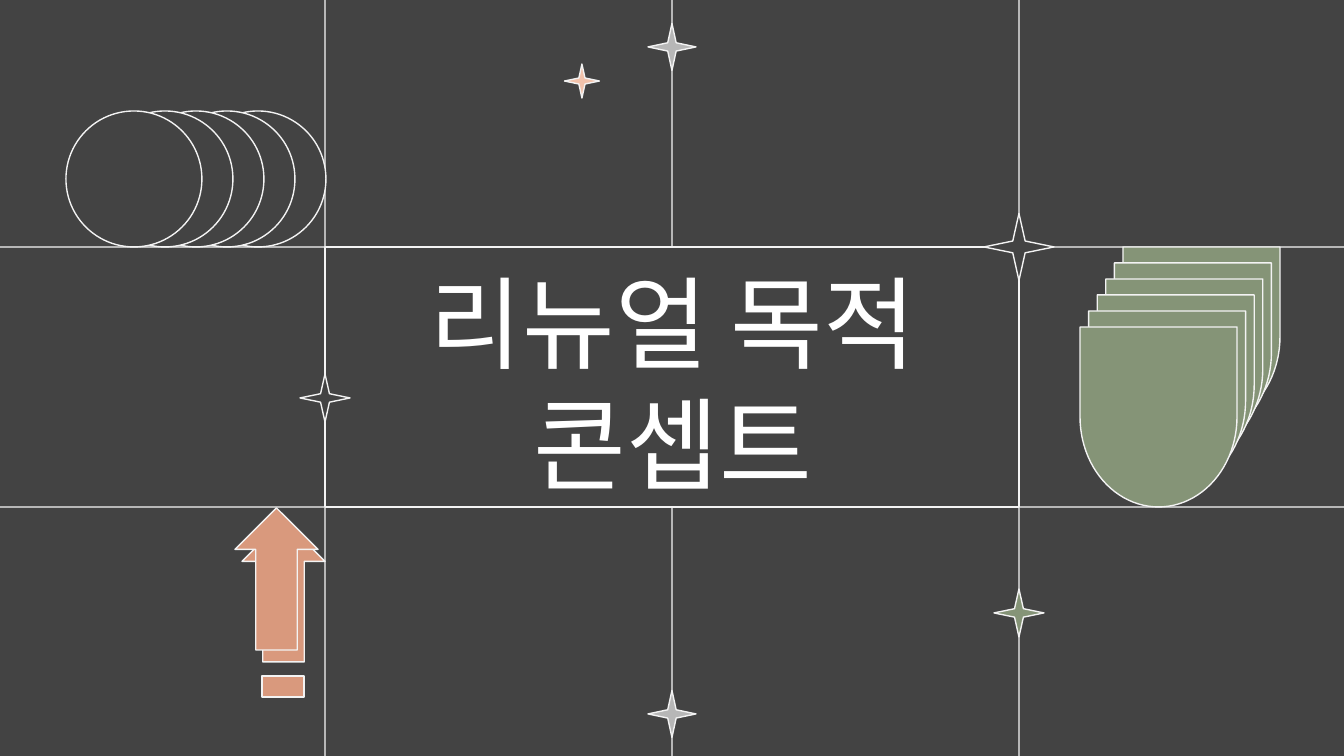
from lxml.etree import SubElement
from pptx import Presentation
from pptx.dml.color import RGBColor
from pptx.enum.shapes import MSO_CONNECTOR as Line, MSO_SHAPE as Kind
from pptx.enum.text import MSO_ANCHOR as Anchor, MSO_AUTO_SIZE as Fit, PP_ALIGN as Align
from pptx.oxml.ns import qn
from pptx.util import Inches, Pt

WIDE, HIGH = 1344, 756
SCALE = Inches(10) / WIDE
FONT = "Noto Sans CJK KR"
DARK = RGBColor(0x43, 0x43, 0x43)
GRAY = RGBColor(0xB7, 0xB7, 0xB7)
PALE = RGBColor(0xF3, 0xF3, 0xF3)
WHITE = RGBColor(0xFF, 0xFF, 0xFF)
GREEN = RGBColor(0x85, 0x94, 0x77)
CLAY = RGBColor(0xD9, 0x99, 0x7D)
PEACH = RGBColor(0xF2, 0xC2, 0xAB)


def px(*nums):
    """Turn px into EMU."""
    return [round(n * SCALE) for n in nums]


def put(slide, kind, box, fill):
    """Add a filled shape with a pale outline."""
    shape = slide.shapes.add_shape(kind, *px(*box))
    shape.shadow.inherit = False
    shape.fill.solid()
    shape.fill.fore_color.rgb = fill
    shape.line.color.rgb = PALE
    shape.line.width = Pt(0.75)
    return shape


def rule(slide, start, end):
    """Add one grid line."""
    line = slide.shapes.add_connector(Line.STRAIGHT, *px(*start, *end))
    line.line.color.rgb = GRAY
    line.line.width = Pt(0.75)
    SubElement(line.element.spPr, qn("a:effectLst"))


def grid(slide, box):
    """Draw the grid around the middle cell, past the slide edges."""
    left, top, width, height = box
    for x in (left, left + width / 2, left + width):
        rule(slide, (x, -13), (x, HIGH + 15))
    for y in (top, top + height):
        rule(slide, (-23, y), (WIDE + 21, y))


def star(slide, mid, size, fill):
    """Add a thin four-point star centred on a point."""
    (x, y), (w, h) = mid, size
    shape = put(slide, Kind.STAR_4_POINT, (x - w / 2, y - h / 2, w, h), fill)
    shape.adjustments[0] = 0.125


def panel(slide, box):
    """Frame the middle cell and set the title in it."""
    left, top, width, height = box
    frame = put(slide, Kind.RECTANGLE, box, DARK)
    title = slide.shapes.title
    frame.element.addnext(title.element)
    title.left, title.top, title.width, title.height = px(
        left + 22, top + 8, width - 42, height - 7)
    text = title.text_frame
    text.word_wrap = True
    text.auto_size = Fit.NONE
    text.vertical_anchor = Anchor.MIDDLE
    text.margin_left = text.margin_right = Inches(0.1)
    text.margin_top = text.margin_bottom = Inches(0.1)
    text.text = "리뉴얼 목적\v콘셉트"
    para = text.paragraphs[0]
    para.alignment = Align.CENTER
    font = para.font
    font.size = Pt(54)
    font.color.rgb = WHITE
    font.name = FONT
    props = para._p.pPr.find(qn("a:defRPr"))
    SubElement(props, qn("a:ea")).set("typeface", FONT)


def arrows(slide, box):
    """Stack two up arrows over a short bar."""
    left, top, width, height = box
    put(slide, Kind.UP_ARROW, (left + 7, top + 12, width, height), CLAY)
    put(slide, Kind.RECTANGLE, (left + 27, top + 168, 42, 21), CLAY)
    put(slide, Kind.UP_ARROW, box, CLAY)


def shields(slide, box, count=6):
    """Fan round-ended shields from the top right to the bottom left."""
    left, top, width, height = box
    wide, tall = 157, 180
    for i in range(count):
        part = i / (count - 1)
        x = left + (width - wide) * (1 - part) + (wide - tall) / 2
        y = top + (height - tall) * part + (tall - wide) / 2
        shape = put(slide, Kind.FLOWCHART_DELAY, (x, y, tall, wide), GREEN)
        shape.rotation = 90


def rings(slide, box, count=5):
    """Overlap circles in a row, the leftmost in front."""
    left, top, width, size = box
    step = (width - size) / (count - 1)
    for i in reversed(range(count)):
        put(slide, Kind.OVAL, (left + i * step, top, size, size), DARK)


def main():
    """Build the slide."""
    deck = Presentation()
    deck.slide_width, deck.slide_height = px(WIDE, HIGH)
    slide = deck.slides.add_slide(deck.slide_layouts[5])
    slide.background.fill.solid()
    slide.background.fill.fore_color.rgb = DARK
    cell = (325, 247, 694, 260)
    grid(slide, cell)
    star(slide, (672, 714), (48, 47), GRAY)
    star(slide, (672, 47), (48, 47), GRAY)
    panel(slide, cell)
    star(slide, (325, 398), (50, 48), DARK)
    arrows(slide, (235, 508, 83, 142))
    shields(slide, (1080, 247, 200, 260))
    rings(slide, (66, 111, 260, 136))
    star(slide, (1019, 247), (70, 67), DARK)
    star(slide, (1019, 613), (50, 48), GREEN)
    star(slide, (582, 81), (35, 34), PEACH)
    deck.save("out.pptx")


if __name__ == "__main__":
    main()
